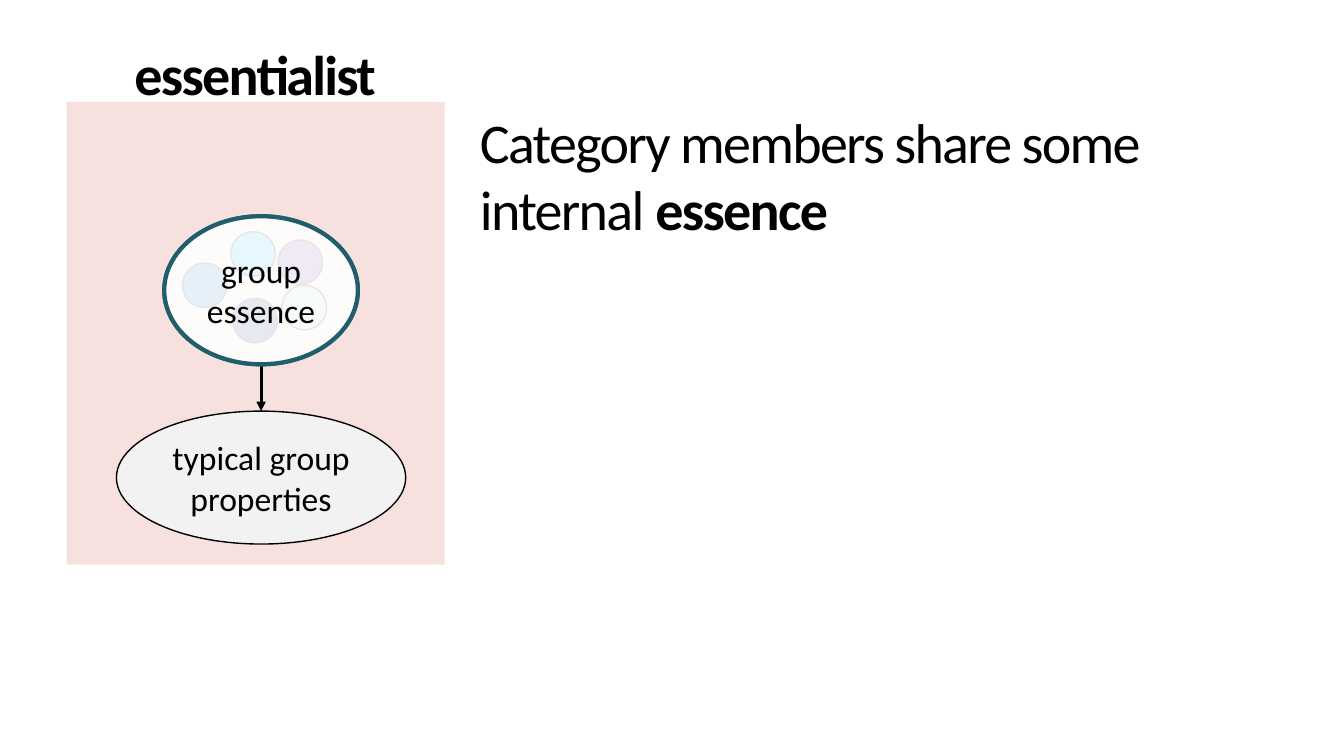
import pptx
import pptx.util
import pptx.dml.color
import pptx.enum.shapes
import pptx.enum.text
import pptx.oxml.ns
import lxml.etree

Cm = pptx.util.Cm
OVAL = pptx.enum.shapes.MSO_SHAPE.OVAL
RECTANGLE = pptx.enum.shapes.MSO_SHAPE.RECTANGLE
ALIGN = pptx.enum.text.PP_ALIGN
ANCHOR = pptx.enum.text.MSO_ANCHOR

HEADING = [("essentialist", True)]
STATEMENT = [("Category members share some internal ", False), ("essence", True)]
ESSENCE = [("group essence", False)]
PROPERTIES = [("typical group properties", False)]
BLACK, TEAL = "000000", "215E6B"

AXIS = 6.58
PANEL = (1.68, 2.57, 9.53, 11.66)
HEADING_BOX = (2.06, 0.58, 8.74, 2.54)
STATEMENT_BOX = (11.84, 2.57, 20.52, 8.66)
ESSENCE_TOP, ESSENCE_SIZE = 5.45, (4.88, 3.73)
PROPERTIES_TOP, PROPERTIES_SIZE = 10.36, (7.29, 3.35)
MEMBER_SIZE = 1.12
MEMBERS = [
    (5.87, 7.52, "002060"),
    (5.82, 5.84, "00B0F0"),
    (4.60, 6.63, "0070C0"),
    (7.01, 6.05, "7030A0"),
    (7.11, 7.19, "B5D2D9"),
]


def color(value):
    return pptx.dml.color.RGBColor.from_string(value)


def add_child(parent, tag, **attributes):
    return lxml.etree.SubElement(parent, pptx.oxml.ns.qn(tag), attributes)


def centred(top, size):
    width, height = size
    return AXIS - width / 2, top, width, height


def draw(shapes, kind, place, fill=None, line=None, weight=1):
    shape = shapes.add_shape(kind, *map(Cm, place))
    shape.shadow.inherit = False
    if fill:
        shape.fill.solid()
        shape.fill.fore_color.rgb = color(fill)
    else:
        shape.fill.background()
    if line:
        shape.line.color.rgb = color(line)
        shape.line.width = pptx.util.Pt(weight)
    else:
        shape.line.fill.background()
    return shape


def write(shape, spans, size=24, align=ALIGN.CENTER, anchor=ANCHOR.MIDDLE, spacing=None):
    frame = shape.text_frame
    frame.word_wrap = True
    frame.auto_size = pptx.enum.text.MSO_AUTO_SIZE.NONE
    frame.vertical_anchor = anchor
    para = frame.paragraphs[0]
    para.alignment = align
    para.space_before = pptx.util.Pt(0)
    for text, bold in spans:
        span = para.add_run()
        span.text = text
        span.font.name = "Calibri"
        span.font.size = pptx.util.Pt(size)
        span.font.bold = bold
        span.font.color.rgb = color(BLACK)
        if spacing:
            span.font._element.set("spc", str(round(spacing * 100)))
    return para


def place_at(shape, place):
    shape.left, shape.top, shape.width, shape.height = map(Cm, place)


deck = pptx.Presentation()
deck.slide_width, deck.slide_height = Cm(33.87), Cm(19.05)
page = deck.slides.add_slide(deck.slide_layouts[1])
heading, statement = page.placeholders
essence_place = centred(ESSENCE_TOP, ESSENCE_SIZE)

draw(page.shapes, RECTANGLE, PANEL, fill="F7E1DF")
properties = draw(page.shapes, OVAL, centred(PROPERTIES_TOP, PROPERTIES_SIZE),
                  fill="F2F2F2", line=BLACK)
write(properties, PROPERTIES)

arrow = page.shapes.add_connector(
    pptx.enum.shapes.MSO_CONNECTOR.STRAIGHT,
    Cm(AXIS), Cm(ESSENCE_TOP + ESSENCE_SIZE[1]), Cm(AXIS), Cm(PROPERTIES_TOP))
arrow.line.color.rgb = color(BLACK)
arrow.line.width = pptx.util.Pt(2.25)
add_child(arrow.line._get_or_add_ln(), "a:tailEnd", type="triangle")
add_child(arrow.element.spPr, "a:effectLst")

group = page.shapes.add_group_shape()
for left, top, fill in MEMBERS:
    draw(group.shapes, OVAL, (left, top, MEMBER_SIZE, MEMBER_SIZE), fill=fill, line=BLACK)
draw(group.shapes, OVAL, essence_place, line=TEAL, weight=3)

essence = draw(page.shapes, OVAL, essence_place, fill="FFFFFF", line=TEAL, weight=3)
add_child(essence.element.spPr.find(".//" + pptx.oxml.ns.qn("a:srgbClr")), "a:alpha", val="90000")
write(essence, ESSENCE)

place_at(heading, HEADING_BOX)
write(heading, HEADING, size=40, spacing=-1.2)
place_at(statement, STATEMENT_BOX)
para = write(statement, STATEMENT, size=40, align=ALIGN.LEFT, anchor=ANCHOR.TOP, spacing=-1.2)
settings = para._p.get_or_add_pPr()
settings.set("marL", "0")
settings.set("indent", "0")
add_child(settings, "a:buNone")
for placeholder in (heading, statement):
    essence.element.addprevious(placeholder.element)

deck.save("out.pptx")
